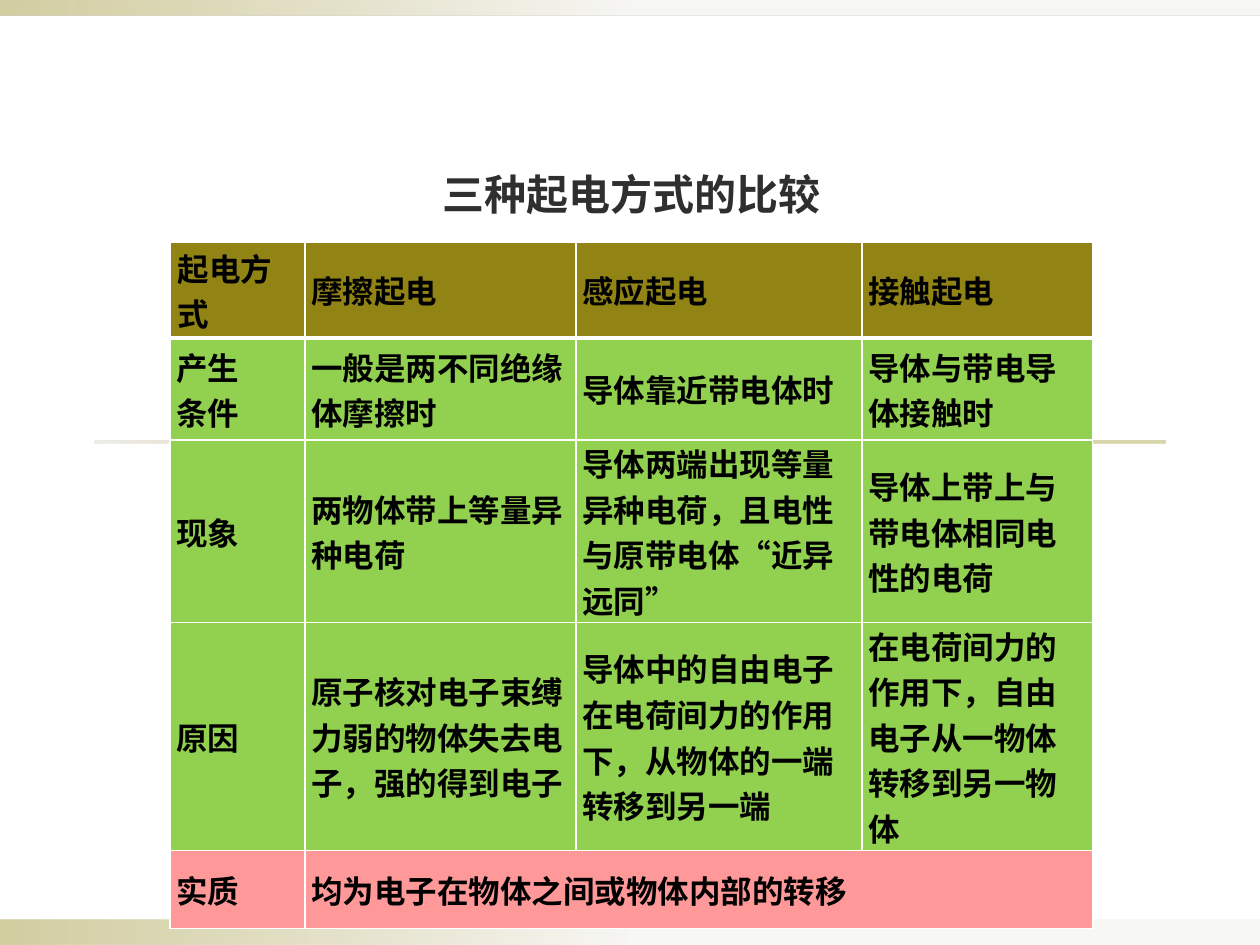
from lxml.etree import SubElement
from pptx import Presentation
from pptx.dml.color import RGBColor
from pptx.enum.shapes import MSO_SHAPE
from pptx.enum.text import MSO_ANCHOR, PP_ALIGN
from pptx.oxml.ns import qn
from pptx.util import Inches, Pt


def rgb(value):
    return RGBColor.from_string(value)


def add_border(cell, side, width):
    ln = SubElement(cell._tc.get_or_add_tcPr(), qn(f"a:ln{side}"), w=str(Pt(width)))
    SubElement(SubElement(ln, qn("a:solidFill")), qn("a:srgbClr"), val="FFFFFF")


prs = Presentation()
prs.slide_width, prs.slide_height = Inches(10), Inches(7.5)
W, H = prs.slide_width, prs.slide_height
s = prs.slides.add_slide(prs.slide_layouts[5])

# Gradient bars: left, top, width, height, then (colour, opacity %, position) stops
edge_stops = [("918415", 40, 0), ("EEEDE7", 45, 0.5)]
rule_stops = [("DCD9CC", 50, 0), ("918415", 35, 0.5)]
bars = [
    (0, H - Inches(0.2), W, Inches(0.2), edge_stops),
    (0, 0, W, Inches(0.12), edge_stops),
    (int(W * 0.075), Inches(3.5), int(W * 0.85), Inches(0.02), rule_stops),
]
for left, top, width, height, stops in bars:
    sp = s.shapes.add_shape(MSO_SHAPE.RECTANGLE, left, top, width, height)
    sp.shadow.inherit = False
    sp.line.fill.background()
    sp.fill.gradient()
    sp.fill.gradient_angle = 0
    for stop, (colour, _, position) in zip(sp.fill.gradient_stops, stops):
        stop.color.rgb = rgb(colour)
        stop.position = position
    for clr, (_, opacity, _) in zip(sp._element.spPr.iter(qn("a:srgbClr")), stops):
        SubElement(clr, qn("a:alpha"), val=str(opacity * 1000))

title = s.shapes.title
title.left, title.top = Inches(2.98), Inches(1.33)
title.width, title.height = Inches(4.07), Inches(0.5)
title.fill.solid()
title.fill.fore_color.rgb = rgb("FFFFFF")
tf = title.text_frame
tf.text = "三种起电方式的比较"
tf.vertical_anchor = MSO_ANCHOR.MIDDLE
tf.margin_bottom = Inches(0.08)
p = tf.paragraphs[0]
p.alignment = PP_ALIGN.CENTER
p.line_spacing = 0.9
font = p.runs[0].font
font.name, font.size, font.bold = "Calibri", Pt(24), True
font.color.rgb = rgb("2F2F2F")

rows = [
    ["起电方式", "摩擦起电", "感应起电", "接触起电"],
    ["产生\n条件", "一般是两不同绝缘体摩擦时", "导体靠近带电体时", "导体与带电导体接触时"],
    ["现象", "两物体带上等量异种电荷",
     "导体两端出现等量异种电荷，且电性与原带电体“近异远同”",
     "导体上带上与带电体相同电性的电荷"],
    ["原因", "原子核对电子束缚力弱的物体失去电子，强的得到电子",
     "导体中的自由电子在电荷间力的作用下，从物体的一端转移到另一端",
     "在电荷间力的作用下，自由电子从一物体转移到另一物体"],
    ["实质", "均为电子在物体之间或物体内部的转移", "", ""],
]
col_widths = [1.07, 2.15, 2.27, 1.83]
row_heights = [0.64, 0.81, 1.2, 1.5, 0.62]
row_fills = ["918415"] + ["92D050"] * 3 + ["FF9999"]

table = s.shapes.add_table(len(rows), len(col_widths), Inches(1.35), Inches(1.92),
                           Inches(sum(col_widths)), Inches(sum(row_heights))).table
table.first_row = table.horz_banding = False
for column, width in zip(table.columns, col_widths):
    column.width = Inches(width)
for row, height in zip(table.rows, row_heights):
    row.height = Inches(height)
table.cell(4, 1).merge(table.cell(4, 3))

for i, texts in enumerate(rows):
    for j, text in enumerate(texts):
        cell = table.cell(i, j)
        corner = i == j == 0
        cell.margin_left = cell.margin_right = Inches(0.06 if corner else 0.05)
        cell.margin_top = cell.margin_bottom = Inches(0.02 if corner else 0)
        cell.vertical_anchor = MSO_ANCHOR.MIDDLE
        for side in "LRTB":
            under_header = (i, side) in [(0, "B"), (1, "T")]
            add_border(cell, side, 3 if under_header else 1)
        cell.fill.solid()
        cell.fill.fore_color.rgb = rgb(row_fills[i])
        if cell.is_spanned:
            continue
        cell.text_frame.text = text
        for p in cell.text_frame.paragraphs:
            font = p.runs[0].font
            font.name, font.size, font.bold = "Times New Roman", Pt(18), True
            font.color.rgb = rgb("000000")

prs.save("out.pptx")
